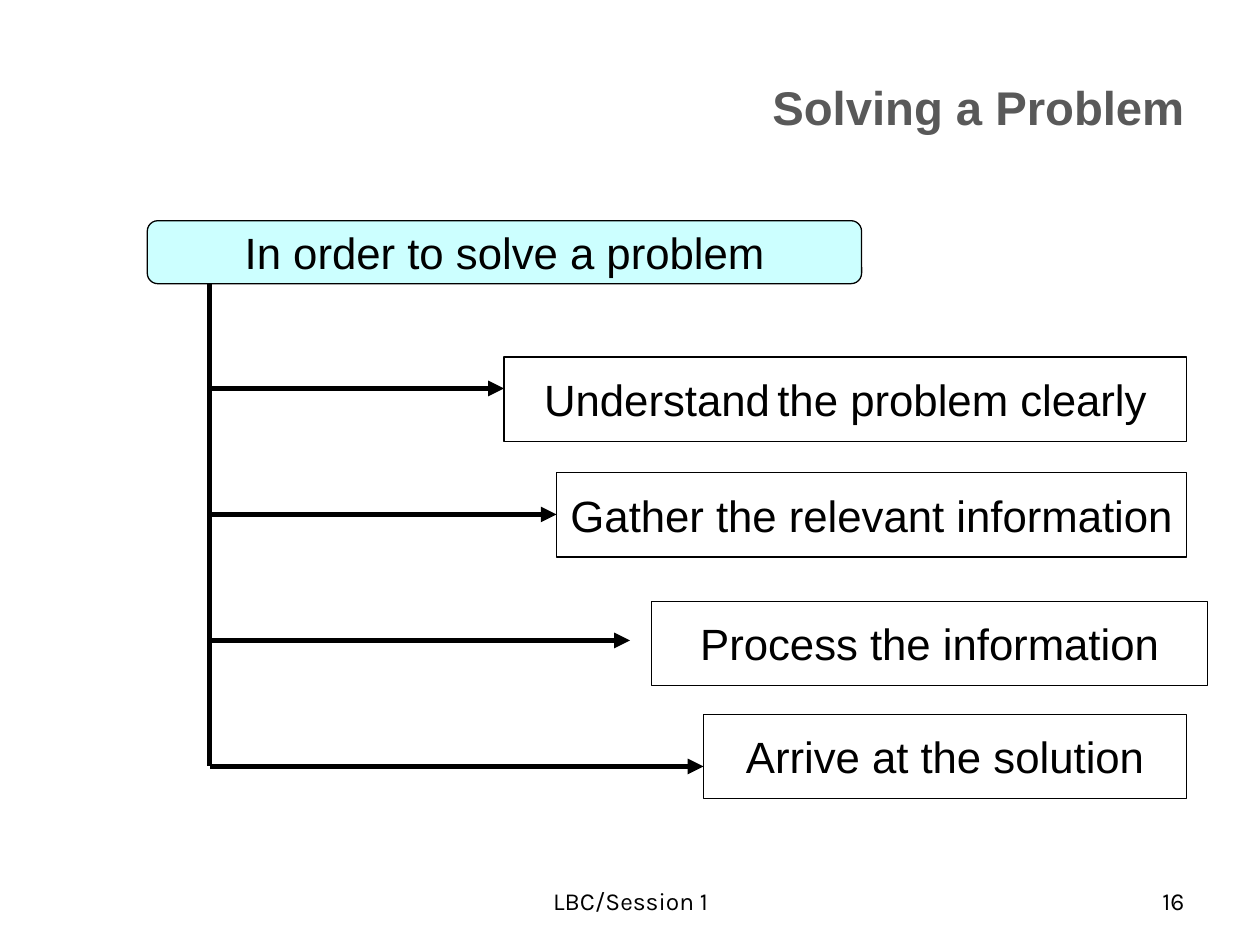
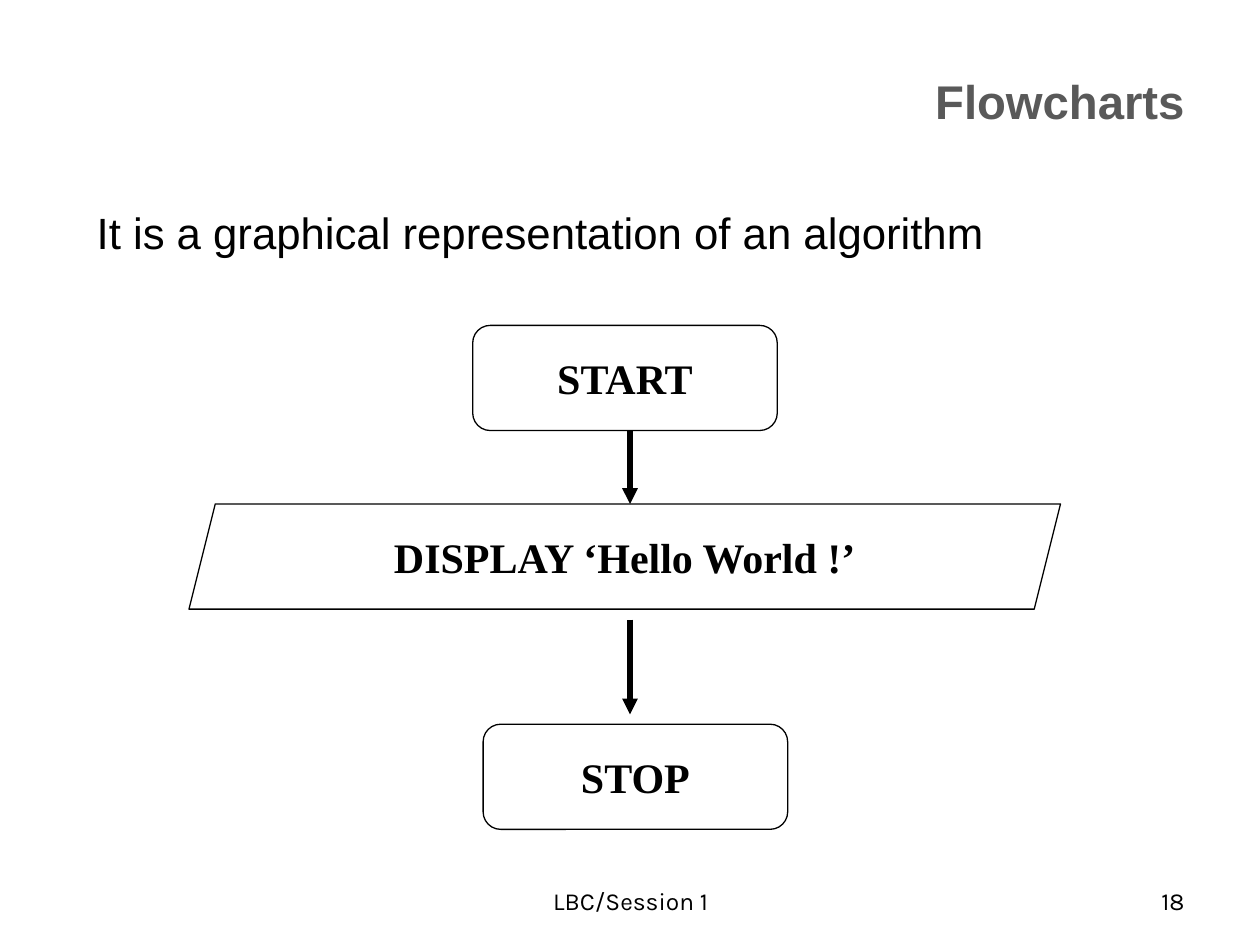
from dataclasses import dataclass

from lxml import etree
from pptx import Presentation
from pptx.dml.color import RGBColor
from pptx.enum.shapes import MSO_CONNECTOR, MSO_SHAPE
from pptx.enum.text import MSO_ANCHOR, MSO_AUTO_SIZE, PP_ALIGN
from pptx.oxml.ns import qn
from pptx.util import Cm, Pt

LEFT, CENTER, RIGHT = PP_ALIGN.LEFT, PP_ALIGN.CENTER, PP_ALIGN.RIGHT
TOP, MIDDLE = MSO_ANCHOR.TOP, MSO_ANCHOR.MIDDLE
RECTANGLE = MSO_SHAPE.RECTANGLE
ROUNDED = MSO_SHAPE.ROUNDED_RECTANGLE
PARALLELOGRAM = MSO_SHAPE.PARALLELOGRAM
STRAIGHT = MSO_CONNECTOR.STRAIGHT
NO_AUTOFIT = MSO_AUTO_SIZE.NONE
TITLE_ONLY = 5


@dataclass(frozen=True)
class Theme:
    ink: RGBColor = RGBColor(0x00, 0x00, 0x00)
    paper: RGBColor = RGBColor(0xFF, 0xFF, 0xFF)
    title_gray: RGBColor = RGBColor(0x59, 0x59, 0x59)
    pale_cyan: RGBColor = RGBColor(0xCC, 0xFF, 0xFF)
    outline: Pt = Pt(0.75)
    arrow: Pt = Pt(3)


THEME = Theme()


def font_format(name, size, color=THEME.ink, bold=False):
    return {"name": name, "size": Pt(size), "bold": bold, "color": color}


TITLE_FONT = font_format("Arial", 27, THEME.title_gray, True)
BODY_FONT = font_format("Arial", 25)
GAP_FONT = font_format("Karla", 18)
FLOW_FONT = font_format("Times New Roman", 24, bold=True)
FOOTER_FONT = font_format("Karla", 14)


def set_attributes(target, values):
    for name, value in values.items():
        setattr(target, name, value)


def write_text(shape, runs, alignment, anchor, wrap=True):
    """Fill a shape with one paragraph of (text, font format) runs."""
    frame = shape.text_frame
    set_attributes(frame, {
        "auto_size": NO_AUTOFIT, "word_wrap": wrap, "vertical_anchor": anchor,
        "margin_left": Cm(0.25), "margin_right": Cm(0.25),
        "margin_top": Cm(0.13), "margin_bottom": Cm(0.13),
    })
    paragraph = frame.paragraphs[0]
    paragraph.alignment = alignment
    for text, font in runs:
        run = paragraph.add_run()
        run.text = text
        set_attributes(run.font, {key: value for key, value in font.items() if key != "color"})
        run.font.color.rgb = font["color"]


def add_text(slide, text, box, font, alignment):
    shape = slide.shapes.add_textbox(*map(Cm, box))
    write_text(shape, [(text, font)], alignment, TOP)


def add_box(slide, kind, runs, box, fill=THEME.paper, adjustment=None):
    shape = slide.shapes.add_shape(kind, *map(Cm, box))
    shape.shadow.inherit = False
    shape.fill.solid()
    shape.fill.fore_color.rgb = fill
    shape.line.color.rgb = THEME.ink
    shape.line.width = THEME.outline
    if adjustment is not None:
        shape.adjustments[0] = adjustment
    write_text(shape, runs, CENTER, MIDDLE, wrap=False)


def add_line(slide, start, end, arrowhead=True):
    connector = slide.shapes.add_connector(STRAIGHT, *map(Cm, start + end))
    connector.line.color.rgb = THEME.ink
    connector.line.width = THEME.arrow
    if arrowhead:
        outline = connector.line._get_or_add_ln()
        etree.SubElement(outline, qn("a:tailEnd"), type="triangle")
    etree.SubElement(connector._element.spPr, qn("a:effectLst"))


def add_titled_slide(presentation, title, top, height, number):
    """Add a slide with the shared title style, footer and page number."""
    slide = presentation.slides.add_slide(presentation.slide_layouts[TITLE_ONLY])
    placeholder = slide.shapes.title
    set_attributes(placeholder, {
        "left": Cm(7.42), "top": Cm(top), "width": Cm(16.71), "height": Cm(height),
    })
    write_text(placeholder, [(title, TITLE_FONT)], RIGHT, MIDDLE)
    add_text(slide, str(number), (18.21, 17.73, 5.92, 1.32), FOOTER_FONT, RIGHT)
    add_text(slide, "LBC/Session 1", (8.69, 17.73, 8.05, 1.32), FOOTER_FONT, CENTER)
    return slide


def build_problem_slide(presentation):
    slide = add_titled_slide(presentation, "Solving a Problem", 1.3, 1.68, 16)
    add_box(slide, ROUNDED, [("In order to solve a problem", BODY_FONT)],
            (2.97, 4.45, 14.4, 1.27), THEME.pale_cyan, 0.167)

    # Steps: runs, box left, top and width, arrow end
    steps = [
        ([("Understand", BODY_FONT), (" ", GAP_FONT), ("the problem clearly", BODY_FONT)],
         10.16, 7.2, 13.76, 10.16),
        ([("Gather the relevant information", BODY_FONT)], 11.22, 9.53, 12.7, 11.22),
        ([("Process the information", BODY_FONT)], 13.13, 12.12, 11.22, 12.7),
        ([("Arrive at the solution", BODY_FONT)], 14.18, 14.4, 9.74, 14.18),
    ]
    trunk_x, first_branch, branch_step = 4.23, 7.83, 2.54
    for index, (runs, left, top, width, arrow_end) in enumerate(steps):
        branch_y = first_branch + index * branch_step
        add_box(slide, RECTANGLE, runs, (left, top, width, 1.7))
        add_line(slide, (trunk_x, branch_y), (arrow_end, branch_y))

    # Trunk from the heading down to the last branch
    add_line(slide, (trunk_x, 5.72), (trunk_x, branch_y), arrowhead=False)


def build_flowchart_slide(presentation):
    slide = add_titled_slide(presentation, "Flowcharts", 1.09, 1.88, 18)
    add_text(slide, "It is a graphical representation of an algorithm",
             (1.7, 4.02, 21.59, 1.32), BODY_FONT, LEFT)

    # Flow nodes: text, shape, adjustment, left, top, width
    nodes = [
        ("START", ROUNDED, 0.167, 9.53, 6.56, 6.14),
        ("DISPLAY ‘Hello World !’", PARALLELOGRAM, 0.25, 3.81, 10.16, 17.57),
        ("STOP", ROUNDED, 0.167, 9.74, 14.6, 6.14),
    ]
    for text, kind, adjustment, left, top, width in nodes:
        add_box(slide, kind, [(text, FLOW_FONT)], (left, top, width, 2.12),
                adjustment=adjustment)

    # Arrows down the centre line
    for start_y, end_y in ((8.68, 10.16), (12.49, 14.4)):
        add_line(slide, (12.7, start_y), (12.7, end_y))


def main():
    presentation = Presentation()
    presentation.slide_width = Cm(25.4)
    presentation.slide_height = Cm(19.05)
    build_problem_slide(presentation)
    build_flowchart_slide(presentation)
    presentation.save("out.pptx")


if __name__ == "__main__":
    main()
